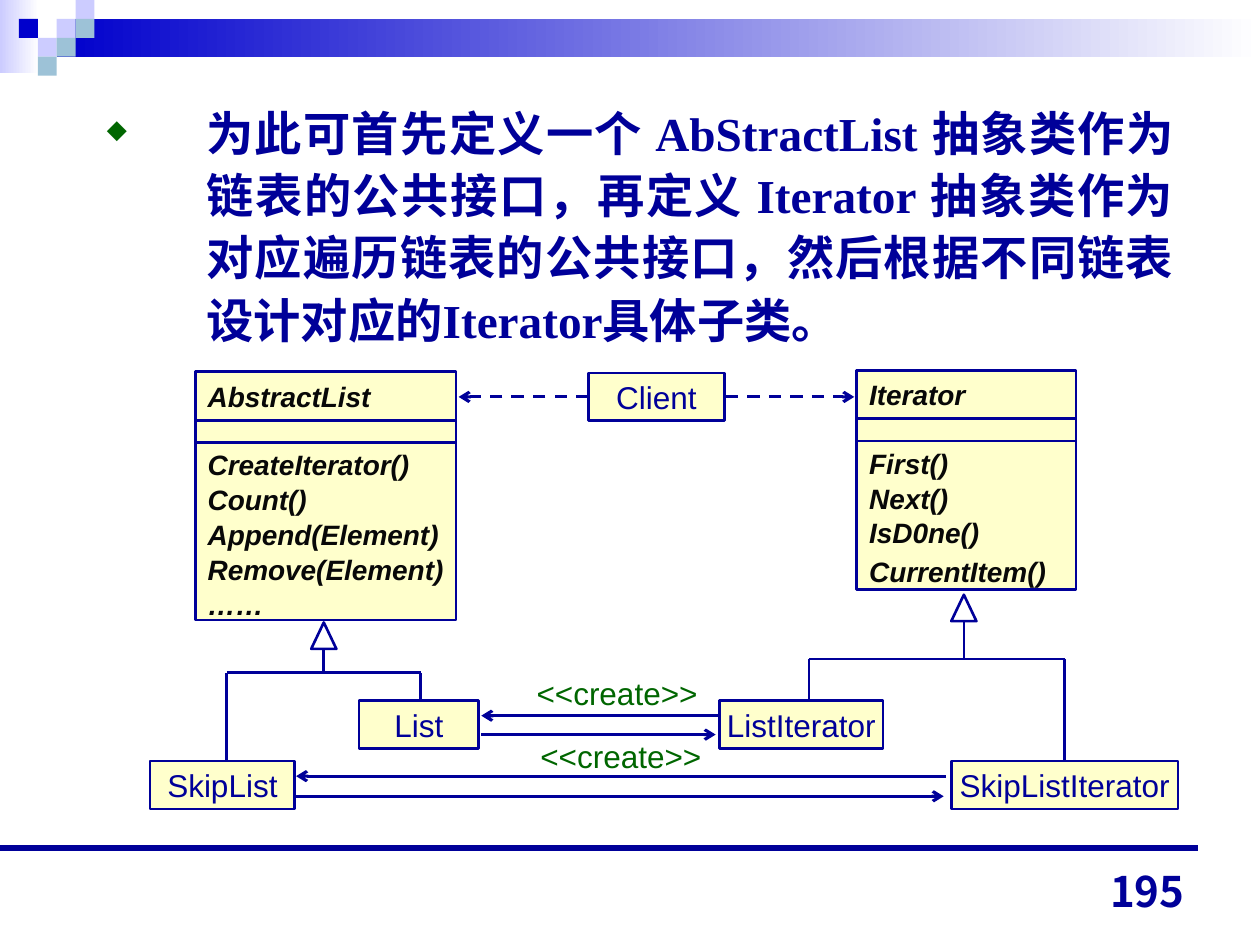
"""Build the list and iterator class diagram on a grid of 1000 columns by 750 rows."""
import dataclasses
import typing

import lxml.etree
import pptx
import pptx.dml.color
import pptx.enum.dml
import pptx.enum.shapes
import pptx.enum.text
import pptx.oxml.ns
import pptx.util

COLUMNS, ROWS = 1000, 750
NAVY, BLUE, LILAC, TEAL = "000099", "0000CC", "CCCCFF", "9DC2D7"
CREAM, WHITE, GREEN, BLACK = "FFFFCC", "FFFFFF", "006600", "080808"
LATIN, SERIF, CHINESE = "Arial", "Times New Roman", "Noto Sans CJK JP"
SHAPE = pptx.enum.shapes.MSO_SHAPE
ALIGN = pptx.enum.text.PP_ALIGN
ANCHOR = pptx.enum.text.MSO_ANCHOR
TILE = 15
STATEMENT = (
    "为此可首先定义一个 AbStractList 抽象类作为链表的公共接口，"
    "再定义 Iterator 抽象类作为对应遍历链表的公共接口，"
    "然后根据不同链表设计对应的Iterator具体子类。"
)

deck = pptx.Presentation()
deck.slide_width = pptx.util.Inches(10)
deck.slide_height = pptx.util.Inches(7.5)
page = deck.slides.add_slide(deck.slide_layouts[6])


@dataclasses.dataclass(frozen=True)
class Area:
    """A rectangle in grid columns and rows."""

    left: float
    top: float
    width: float
    height: float

    def lengths(self) -> tuple[int, int, int, int]:
        """Return the rectangle in slide units."""
        return (across(self.left), down(self.top), across(self.width), down(self.height))


@dataclasses.dataclass(frozen=True)
class ClassBox:
    """An abstract class with its operations and divider rows."""

    area: Area
    name: str
    operations: tuple[str, ...]
    dividers: tuple[float, float]
    last_gap: float


@dataclasses.dataclass(frozen=True)
class Inheritance:
    """A parent arrowhead, its bar, and (column, row) ends of the children."""

    column: float
    top: float
    bar: float
    children: tuple[tuple[float, float], ...]


@dataclasses.dataclass(frozen=True)
class Link:
    """A horizontal arrow from one column to another."""

    start: float
    end: float
    row: float
    dashed: bool = False


def across(columns: float) -> int:
    """Turn columns into slide units."""
    return round(deck.slide_width * columns / COLUMNS)


def down(rows: float) -> int:
    """Turn rows into slide units."""
    return round(deck.slide_height * rows / ROWS)


def colour(value: str) -> pptx.dml.color.RGBColor:
    """Turn a hex string into a colour."""
    return pptx.dml.color.RGBColor.from_string(value)


def child(parent: typing.Any, tag: str, **attributes: str) -> typing.Any:
    """Append a drawing element to a parent."""
    return lxml.etree.SubElement(parent, pptx.oxml.ns.qn(tag), attributes)


def draw_shape(area: Area, fill: str, line: str = "", kind: typing.Any = SHAPE.RECTANGLE) -> typing.Any:
    """Draw a plain preset shape."""
    shape = page.shapes.add_shape(kind, *area.lengths())
    shape.shadow.inherit = False
    shape.fill.solid()
    shape.fill.fore_color.rgb = colour(fill)
    if line:
        shape.line.color.rgb = colour(line)
        shape.line.width = pptx.util.Pt(1.5)
    else:
        shape.line.fill.background()
    return shape


def draw_fade(area: Area, strong: str) -> None:
    """Draw a band that fades to white on the right."""
    band = draw_shape(area, strong)
    band.fill.gradient()
    band.fill.gradient_angle = 180
    for stop, value in zip(band.fill.gradient_stops, (WHITE, strong)):
        stop.color.rgb = colour(value)


def draw_line(start: tuple[float, float], end: tuple[float, float], width: float = 1.5,
              arrow: bool = False, dashed: bool = False) -> None:
    """Draw a straight line, with an arrowhead at its end on request."""
    line = page.shapes.add_connector(
        pptx.enum.shapes.MSO_CONNECTOR.STRAIGHT,
        across(start[0]), down(start[1]), across(end[0]), down(end[1]))
    line.line.color.rgb = colour(NAVY)
    line.line.width = pptx.util.Pt(width)
    if dashed:
        line.line.dash_style = pptx.enum.dml.MSO_LINE.DASH
    if arrow:
        child(line.line._get_or_add_ln(), "a:tailEnd", type="arrow")
    child(line._element.spPr, "a:effectLst")


def style(para: typing.Any, size: float, value: str, font: str = LATIN,
          bold: bool = False, italic: bool = False) -> None:
    """Format every run of a paragraph."""
    for span in para.runs:
        span.font.size = pptx.util.Pt(size)
        span.font.name = font
        span.font.bold = bold
        span.font.italic = italic
        span.font.color.rgb = colour(value)
        child(span._r.get_or_add_rPr(), "a:ea", typeface=CHINESE)


def draw_text(area: Area, text: str, wrap: bool = True) -> typing.Any:
    """Draw a text box and return it."""
    box = page.shapes.add_textbox(*area.lengths())
    box.text_frame.word_wrap = wrap
    box.text_frame.text = text
    return box


def draw_statement() -> None:
    """Draw the bulleted statement above the diagram."""
    para = draw_text(Area(46, 73, 895, 218), STATEMENT).text_frame.paragraphs[0]
    para.alignment = ALIGN.JUSTIFY
    para.line_spacing = 1.1
    properties = para._p.get_or_add_pPr()
    properties.set("marL", str(across(108)))
    properties.set("indent", str(across(-79)))
    child(child(properties, "a:buClr"), "a:srgbClr", val=GREEN)
    child(properties, "a:buSzPct", val="55000")
    child(properties, "a:buChar", char="◆")
    style(para, 27, NAVY, SERIF, bold=True)


def draw_class(item: ClassBox) -> None:
    """Draw an abstract class with its dividers."""
    box = draw_shape(item.area, CREAM, NAVY)
    frame = box.text_frame
    frame.word_wrap = False
    frame.vertical_anchor = ANCHOR.TOP
    frame.text = "\n".join((item.name, *item.operations))
    for para in frame.paragraphs:
        para.alignment = ALIGN.LEFT
        para.line_spacing = 1.04
        style(para, 16, BLACK, bold=True, italic=True)
    frame.paragraphs[1].space_before = pptx.util.Pt(19)
    frame.paragraphs[-1].space_before = pptx.util.Pt(item.last_gap)
    for row in item.dividers:
        draw_line((item.area.left, row), (item.area.left + item.area.width, row))


def draw_inheritance(tree: Inheritance) -> None:
    """Draw the lines from the children up to the parent."""
    draw_line((tree.column, tree.top + 9), (tree.column, tree.bar))
    draw_shape(Area(tree.column - 10, tree.top, 20, 21), WHITE, NAVY, SHAPE.ISOSCELES_TRIANGLE)
    draw_line((tree.children[0][0], tree.bar), (tree.children[-1][0], tree.bar))
    for column, row in tree.children:
        draw_line((column, tree.bar), (column, row))


def draw_node(name: str, left: float, top: float, width: float) -> None:
    """Draw a named class without operations."""
    frame = draw_shape(Area(left, top, width, 38), CREAM, NAVY).text_frame
    frame.margin_left = frame.margin_right = 0
    frame.word_wrap = False
    frame.vertical_anchor = ANCHOR.MIDDLE
    frame.text = name
    frame.paragraphs[0].alignment = ALIGN.CENTER
    style(frame.paragraphs[0], 18, NAVY)


def draw_frame() -> None:
    """Draw the header tiles, the footer rule and the page number."""
    draw_fade(Area(0, 0, 31, 58), LILAC)
    draw_fade(Area(45, 15, 955, 30), BLUE)
    tiles = ((3, 1, LILAC), (4, 0, LILAC), (4, 1, TEAL), (2, 2, LILAC),
             (1, 1, BLUE), (3, 2, TEAL), (2, 3, TEAL))
    for column, row, value in tiles:
        draw_shape(Area(column * TILE, row * TILE, TILE, TILE), value)
    draw_line((0, 673), (951, 673), 3.25)
    number = draw_text(Area(717, 682, 233, 50), "195").text_frame
    number.vertical_anchor = ANCHOR.BOTTOM
    number.paragraphs[0].alignment = ALIGN.RIGHT
    style(number.paragraphs[0], 24, NAVY, CHINESE, bold=True)


def main() -> None:
    """Draw the slide and save it."""
    draw_frame()
    draw_statement()
    draw_class(ClassBox(
        Area(155, 295, 207, 197), "AbstractList",
        ("CreateIterator()", "Count()", "Append(Element)", "Remove(Element)", "……"), (334, 351), 0))
    draw_class(ClassBox(
        Area(680, 294, 174, 174), "Iterator",
        ("First()", "Next()", "IsD0ne()", "CurrentItem()"), (332, 350), 2))
    draw_inheritance(Inheritance(257, 494, 534, ((180, 604), (334, 556))))
    draw_inheritance(Inheritance(765, 472, 523, ((642, 556), (845, 604))))
    for node in (("Client", 467, 296, 108), ("List", 285, 556, 95), ("SkipList", 119, 604, 115),
                 ("ListIterator", 571, 556, 130), ("SkipListIterator", 755, 604, 180)):
        draw_node(*node)
    for link in (Link(467, 364, 315, True), Link(576, 678, 315, True), Link(571, 382, 568),
                 Link(382, 568, 583), Link(751, 235, 616), Link(234, 749, 632)):
        draw_line((link.start, link.row), (link.end, link.row), 1.75, True, link.dashed)
    for left, top in ((416, 530), (419, 580)):
        label = draw_text(Area(left, top, 148, 40), "<<create>>", wrap=False)
        style(label.text_frame.paragraphs[0], 18, GREEN)
    deck.save("out.pptx")


if __name__ == "__main__":
    main()
